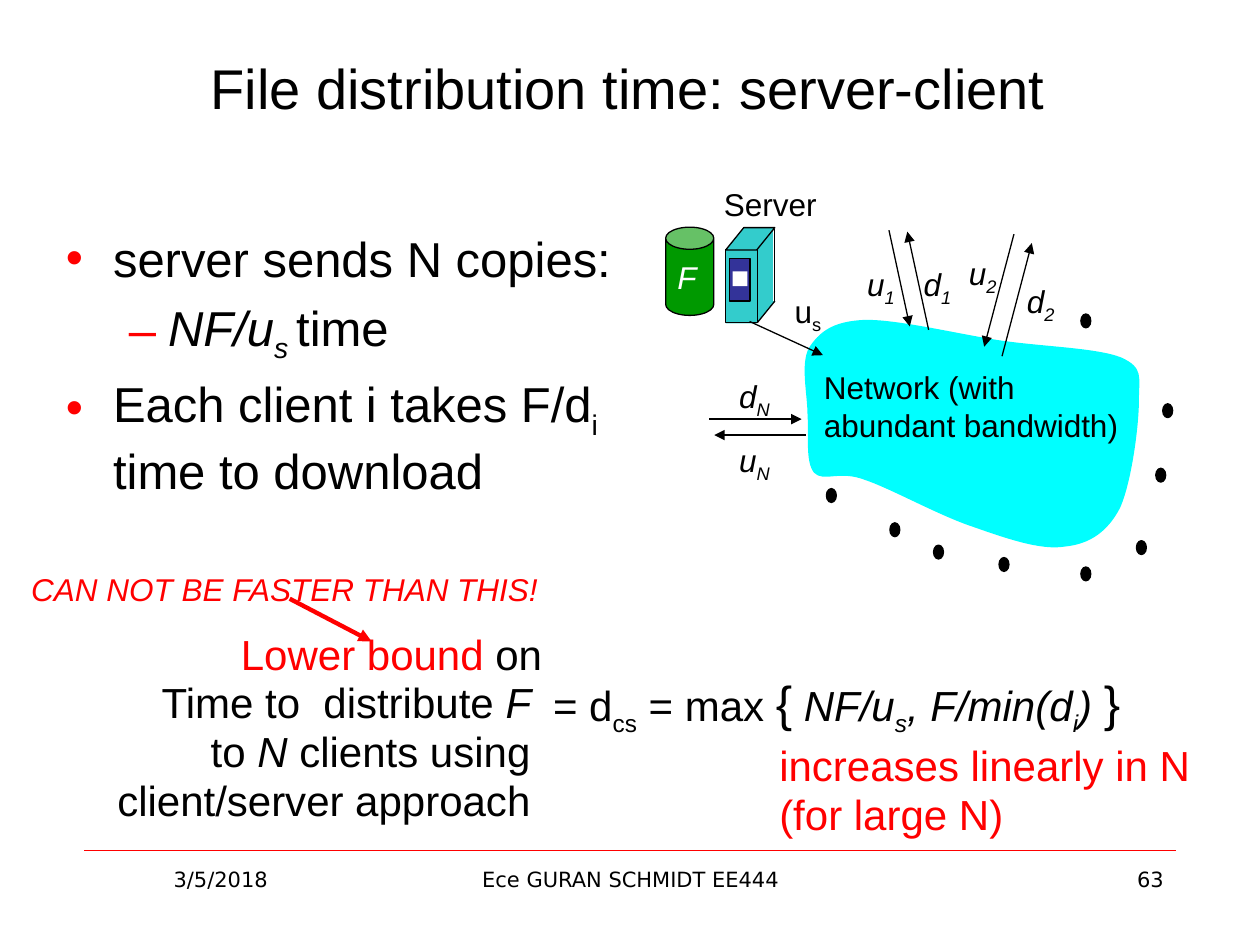
from lxml.etree import SubElement
from pptx import Presentation
from pptx.dml.color import RGBColor
from pptx.enum.shapes import MSO_CONNECTOR as Link, MSO_SHAPE as Kind
from pptx.enum.text import MSO_ANCHOR as Anchor, PP_ALIGN as Align
from pptx.oxml.ns import qn
from pptx.util import Cm, Pt

BLACK = RGBColor(0, 0, 0)
WHITE = RGBColor(255, 255, 255)
RED = RGBColor(255, 0, 0)
CYAN = RGBColor(0, 255, 255)
TEAL = RGBColor(0x33, 0xCC, 0xCC)
NAVY = RGBColor(0x33, 0x33, 0x99)
GREEN = RGBColor(0, 0x99, 0)

prs = Presentation()
prs.slide_width, prs.slide_height = Cm(25.4), Cm(19.05)
slide = prs.slides.add_slide(prs.slide_layouts[6])
shapes = slide.shapes


def write(place, paras, size=18, color=BLACK, font="Arial", align=Align.LEFT, wrap=True, gap=0, lead=None):
    box = shapes.add_textbox(*map(Cm, place))
    frame = box.text_frame
    frame.word_wrap = wrap
    for n, runs in enumerate(paras):
        para = frame.paragraphs[0] if n == 0 else frame.add_paragraph()
        style = {"alignment": align, "line_spacing": lead, "space_before": Pt(gap) if n else None}
        for key, val in style.items():
            setattr(para, key, val)
        for words, flags in runs:
            run = para.add_run()
            run.text = words
            look = {"name": font, "size": Pt(28 if "b" in flags else size), "italic": "i" in flags}
            for key, val in look.items():
                setattr(run.font, key, val)
            run.font.color.rgb = RED if "r" in flags else color
            if "s" in flags:
                run._r.get_or_add_rPr().set("baseline", "-25000")
    return frame


def draw(home, kind, place, fill, edge=None, adj=None):
    if kind == "line":
        item = home.add_connector(Link.STRAIGHT, *map(Cm, place))
        SubElement(item._element.spPr, qn("a:effectLst"))
    else:
        item = home.add_shape(kind, *map(Cm, place))
        item.shadow.inherit = False
        item.fill.solid()
        item.fill.fore_color.rgb = fill
        if adj:
            item.adjustments[0] = adj
    if edge:
        item.line.color.rgb = fill if kind == "line" else BLACK
        item.line.width = Pt(edge)
    else:
        item.line.fill.background()
    return item


draw(shapes, "line", (1.7, 17.15, 23.7, 17.15), RED, 0.25)
for left, width, words, align in [
    (1.7, 5.5, "3/5/2018", Align.CENTER),
    (8.69, 8.05, "Ece GURAN SCHMIDT EE444", Align.CENTER),
    (18.21, 5.5, "63", Align.RIGHT),
]:
    write((left, 17.35, width, 1.32), [[(words, "")]], 12, font="DejaVu Sans", align=align)

title = write((0.83, 0.16, 23.67, 3.18), [[("File distribution time: server-client", "")]], 32, align=Align.CENTER)
title.vertical_anchor = Anchor.MIDDLE

start = (17.42, 6.45)
curves = [
    ((16.76, 6.48), (16.51, 6.71), (16.31, 7.01)),
    ((16.13, 7.34), (16.28, 7.95), (16.28, 8.38)),
    ((16.31, 8.79), (16.23, 9.3), (16.41, 9.53)),
    ((16.61, 9.73), (16.92, 9.47), (17.45, 9.68)),
    ((17.98, 9.86), (18.92, 10.39), (19.61, 10.62)),
    ((20.27, 10.85), (20.98, 11.1), (21.46, 11.02)),
    ((21.97, 10.97), (22.33, 10.72), (22.58, 10.24)),
    ((22.81, 9.73), (22.96, 8.59), (22.96, 8.08)),
    ((22.96, 7.59), (23.06, 7.42), (22.61, 7.21)),
    ((22.12, 7.01), (21.01, 6.99), (20.14, 6.86)),
    ((19.3, 6.73), (18.06, 6.43), (17.42, 6.45)),
]
pen = shapes.build_freeform(*map(Cm, start))
pen.add_line_segments([tuple(map(Cm, curve[-1])) for curve in curves])
cloud = pen.convert_to_shape()
cloud.shadow.inherit = False
cloud.fill.solid()
cloud.fill.fore_color.rgb = CYAN
cloud.line.fill.background()
for edge, curve in zip(list(cloud._element.iter(qn("a:lnTo"))), curves):
    edge.tag = qn("a:cubicBezTo")
    edge.remove(edge[0])
    for x, y in curve:
        spot = SubElement(edge, qn("a:pt"))
        spot.set("x", str(Cm(x) - cloud.left))
        spot.set("y", str(Cm(y) - cloud.top))

server = shapes.add_group_shape().shapes
for kind, place, fill, edge, adj in [
    (Kind.PARALLELOGRAM, (14.63, 6.07, 0.99, 0.45), TEAL, None, 0.81),
    (Kind.RECTANGLE, (15.11, 4.6, 0.47, 1.47), TEAL, None, None),
    (Kind.RECTANGLE, (14.63, 5.03, 0.64, 1.47), TEAL, 0.75, None),
    (Kind.PARALLELOGRAM, (14.63, 4.59, 0.99, 0.45), TEAL, 0.75, 0.81),
    ("line", (15.62, 4.62, 15.62, 6.07), BLACK, 0.75, None),
    ("line", (15.62, 6.07, 15.27, 6.5), BLACK, 0.75, None),
    (Kind.RECTANGLE, (14.71, 5.21, 0.41, 0.86), NAVY, 0.75, None),
    (Kind.RECTANGLE, (14.77, 5.47, 0.3, 0.3), WHITE, None, None),
]:
    draw(server, kind, place, fill, edge, adj)

draw(shapes, Kind.CAN, (13.42, 4.58, 0.97, 1.78), GREEN, 0.75, 0.46)
write((13.28, 5.08, 1.14, 1.02), [[("F", "i")]], color=WHITE, align=Align.CENTER)

for x, y in [
    (16.66, 9.85), (17.94, 10.54), (18.82, 10.99), (20.14, 11.24), (21.79, 11.43),
    (22.91, 10.9), (23.3, 9.44), (23.44, 8.14), (21.79, 6.33),
]:
    draw(shapes, Kind.OVAL, (x, y, 0.2, 0.28), BLACK, 0.75)

for x, y, width, name, sub, flags in [
    (15.77, 5.77, 1.07, "u", "s", ""),
    (19.28, 5, 1.55, "u", "2", "i"),
    (18.37, 5.22, 1.12, "d", "1", "i"),
    (20.45, 5.56, 1.12, "d", "2", "i"),
    (17.23, 5.22, 1.42, "u", "1", "i"),
    (14.65, 8.76, 1.42, "u", "N", "i"),
    (14.65, 7.47, 1.47, "d", "N", "i"),
]:
    write((x, y, width, 1.02), [[(name, flags), (sub, flags + "s")]])

write((14.12, 3.61, 2.82, 1.02), [[("Server", "")]], align=Align.CENTER)
write((16.36, 7.29, 6.68, 1.78), [[("Network (with", "")], [("abundant bandwidth)", "")]], wrap=False)

body = write((1.08, 4.48, 11.86, 6.86), [
    [("server sends N copies:", "")],
    [("NF/u", "i"), ("s ", "is"), ("time", "")],
    [("Each client i takes F/d", ""), ("i ", "s"), ("time to download", "")],
], 28, gap=5.6)
for para, left, hang, mark in zip(body.paragraphs, (0.95, 2.06, 0.95), (0.95, 0.79, 0.95), "•–•"):
    props = para._p.get_or_add_pPr()
    props.set("marL", str(Cm(left)))
    props.set("indent", str(-Cm(hang)))
    tint = SubElement(props, qn("a:buClr"))
    SubElement(tint, qn("a:srgbClr")).set("val", str(RED))
    SubElement(props, qn("a:buFont")).set("typeface", "Arial")
    SubElement(props, qn("a:buChar")).set("char", mark)

write((15.46, 14.98, 8.81, 2.08), [[("increases linearly in N", "")], [("(for large N)", "")]],
      24, RED, wrap=False, gap=4.7, lead=0.8)
write((10.9, 13.44, 12.07, 1.45), [[
    ("= d", ""), ("cs", "s"), (" = max ", ""), ("{", "b"), (" ", ""), ("NF/u", "i"), ("s", "is"),
    (", F/min(d", "i"), ("i", "is"), (") ", "i"), ("}", "b"),
]], 24, wrap=False)
write((2.01, 12.74, 9.17, 4.17), [
    [("Lower bound ", "r"), ("on", "")],
    [("Time to  distribute ", ""), ("F ", "i")],
    [("to ", ""), ("N", "i"), (" clients using ", "")],
    [("client/server approach ", "")],
], 24, align=Align.RIGHT, wrap=False, gap=4.7, lead=0.8)
write((0.38, 11.37, 10.82, 1.02), [[("CAN NOT BE FASTER THAN THIS!", "i")]], color=RED, wrap=False)

for place, color, width in [
    ((15.11, 6.48, 16.59, 7.16), BLACK, 0.75),
    ((18.72, 6.65, 18.29, 4.67), BLACK, 0.75),
    ((17.92, 4.64, 18.34, 6.58), BLACK, 0.75),
    ((20.44, 4.72, 19.84, 6.99), BLACK, 0.75),
    ((20.2, 7.18, 20.8, 4.9), BLACK, 0.75),
    ((14.3, 8.45, 16.16, 8.45), BLACK, 0.75),
    ((16.24, 8.77, 14.4, 8.77), BLACK, 0.75),
    ((5.84, 12.07, 7.49, 12.93), RED, 2.5),
]:
    arrow = draw(shapes, "line", place, color, width)
    SubElement(arrow.line._get_or_add_ln(), qn("a:tailEnd")).set("type", "triangle")

prs.save("out.pptx")
